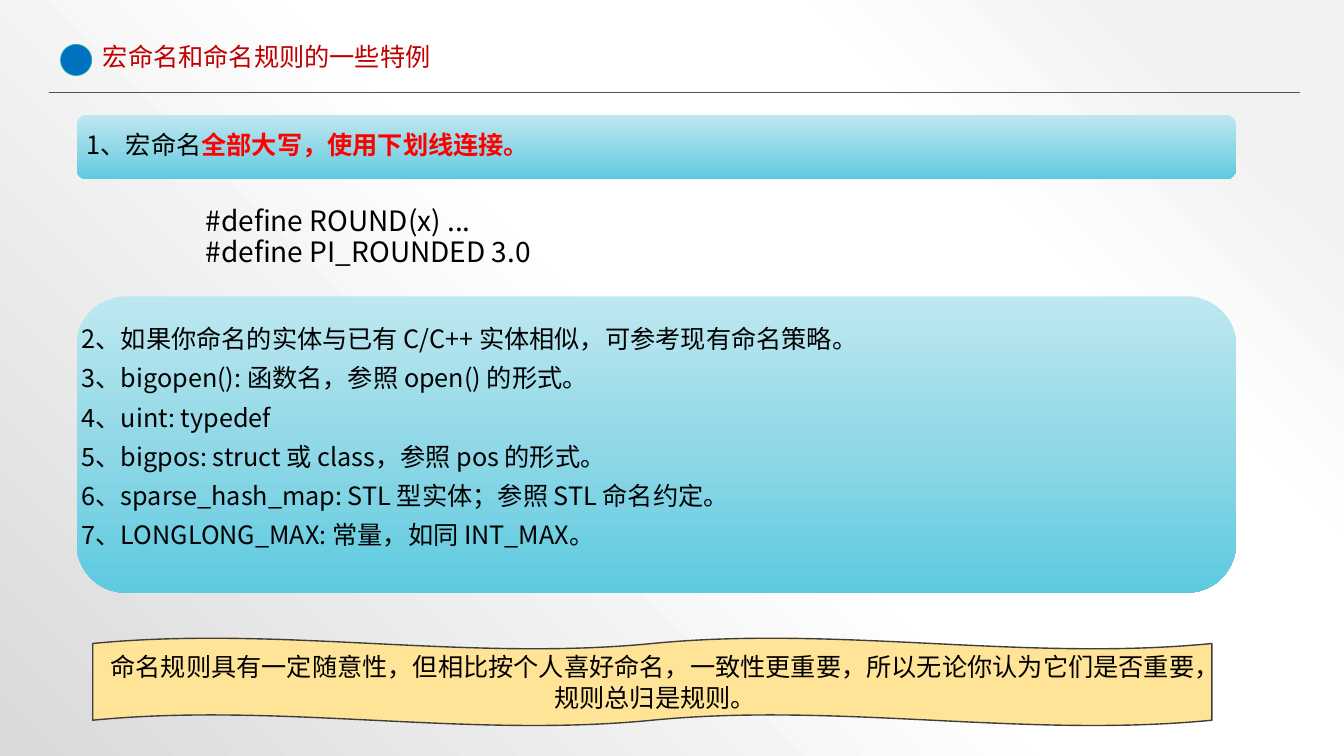
from lxml import etree
from pptx import Presentation
from pptx.dml.color import RGBColor
from pptx.enum.shapes import MSO_CONNECTOR, MSO_SHAPE
from pptx.enum.text import MSO_ANCHOR, MSO_AUTO_SIZE, PP_ALIGN
from pptx.oxml.ns import qn
from pptx.util import Inches, Pt

LINE = MSO_CONNECTOR.STRAIGHT
OVAL, ROUND, WAVE = MSO_SHAPE.OVAL, MSO_SHAPE.ROUNDED_RECTANGLE, MSO_SHAPE.DOUBLE_WAVE
TOP, MIDDLE, BOTTOM = MSO_ANCHOR.TOP, MSO_ANCHOR.MIDDLE, MSO_ANCHOR.BOTTOM
LEFT, CENTER = PP_ALIGN.LEFT, PP_ALIGN.CENTER
NO_FIT = MSO_AUTO_SIZE.NONE

FONT = "Noto Sans CJK SC"
COLORS = {
    "title": "C00000", "text": "000000", "key": "FF0000", "rule": "545454",
    "dot": "0070C0", "ring": "1AB39F", "wave": "FFE497", "edge": "3E3E3E",
}
PANEL = [(0, "BEE8F0"), (50, "91D8E7"), (100, "5CCADF")]
PAGE = [(10, "F2F2F2"), (28, "FFFFFF"), (48, "FFFFFF"), (100, "D9D9D9")]

MACROS = ["#define ROUND(x) ...", "#define PI_ROUNDED 3.0"]
RULES = [
    "2、如果你命名的实体与已有 C/C++ 实体相似，可参考现有命名策略。",
    "3、bigopen(): 函数名，参照 open() 的形式。",
    "4、uint: typedef",
    "5、bigpos: struct 或 class，参照 pos 的形式。",
    "6、sparse_hash_map: STL 型实体；参照 STL 命名约定。",
    "7、LONGLONG_MAX: 常量，如同 INT_MAX。",
]
CLOSING = "命名规则具有一定随意性，但相比按个人喜好命名，一致性更重要，所以无论你认为它们是否重要， 规则总归是规则。"


def color(name):
    return RGBColor.from_string(COLORS[name])


def place(shape, box):
    shape.left, shape.top, shape.width, shape.height = map(Inches, box)


def shade(fill, root, stops, radial=False):
    """Fill with the stops, downwards or outwards from the top right corner."""
    fill.gradient()
    grad = next(root.iter(qn("a:gradFill")))
    for child in list(grad):
        grad.remove(child)
    group = etree.SubElement(grad, qn("a:gsLst"))
    for pos, tone in stops:
        stop = etree.SubElement(group, qn("a:gs"), pos=str(pos * 1000))
        etree.SubElement(stop, qn("a:srgbClr"), val=tone)
    if radial:
        way = etree.SubElement(grad, qn("a:path"), path="circle")
        etree.SubElement(way, qn("a:fillToRect"), l="100000", b="100000")
    else:
        etree.SubElement(grad, qn("a:lin"), ang="5400000", scaled="0")


def style(run, size, tone, bold=False):
    font = run.font
    font.name, font.size, font.bold = FONT, Pt(size), bold
    font.color.rgb = color(tone)
    latin = run._r.rPr.find(qn("a:latin"))
    latin.addnext(etree.Element(qn("a:ea"), typeface=FONT))


def write(shape, lines, size=18, tone="text", anchor=TOP, align=LEFT,
          space=0.9, inset=None):
    frame = shape.text_frame
    frame.text = "\n".join(lines)
    frame.word_wrap, frame.auto_size = True, NO_FIT
    frame.vertical_anchor = anchor
    if inset is not None:
        frame.margin_left = frame.margin_right = Inches(inset)
        frame.margin_top = frame.margin_bottom = Inches(inset)
    for para in frame.paragraphs:
        para.alignment, para.line_spacing = align, space
        para.space_before = para.space_after = Pt(0)
        for run in para.runs:
            style(run, size, tone)


def unbullet(shape):
    for para in shape.text_frame.paragraphs:
        props = para._p.get_or_add_pPr()
        props.set("marL", "0")
        props.set("indent", "0")
        etree.SubElement(props, qn("a:buNone"))


def add_form(slide, kind, box, fill=None, line=None, width=1):
    """Add a preset shape; without a fill colour it gets the panel shading."""
    form = slide.shapes.add_shape(kind, *map(Inches, box))
    form.shadow.inherit = False
    if fill:
        form.fill.solid()
        form.fill.fore_color.rgb = color(fill)
    else:
        shade(form.fill, form._element.spPr, PANEL)
    if line:
        form.line.color.rgb = color(line)
        form.line.width = Pt(width)
    else:
        form.line.fill.background()
    return form


def add_text(slide, box, lines, **look):
    text = slide.shapes.add_textbox(*map(Inches, box))
    write(text, lines, **look)
    return text


def add_rule(slide, x1, x2, y):
    rule = slide.shapes.add_connector(LINE, *map(Inches, (x1, y, x2, y)))
    rule.line.color.rgb = color("rule")
    rule.line.width = Pt(1)
    etree.SubElement(rule._element.spPr, qn("a:effectLst"))


def main():
    deck = Presentation()
    deck.slide_width, deck.slide_height = Inches(13.33), Inches(7.5)
    slide = deck.slides.add_slide(deck.slide_layouts[1])
    shade(slide.background.fill, slide._element, PAGE, radial=True)

    title, body = slide.placeholders
    place(title, (0.92, 0.29, 3.78, 0.47))
    write(title, ["宏命名和命名规则的一些特例"], tone="title", anchor=BOTTOM)
    add_rule(slide, 0.49, 12.89, 0.92)
    add_form(slide, OVAL, (0.6, 0.44, 0.31, 0.31), "dot", "ring", 0.5)

    add_form(slide, ROUND, (0.76, 1.14, 11.5, 0.64))
    naming = add_text(slide, (0.79, 1.17, 11.44, 0.57), ["1、宏命名"],
                      anchor=MIDDLE, inset=0.07)
    key = naming.text_frame.paragraphs[0].add_run()
    key.text = "全部大写，使用下划线连接。"
    style(key, 18, "key", bold=True)
    add_text(slide, (1.94, 2.01, 4.09, 0.71), MACROS, size=20)

    panel = add_form(slide, ROUND, (0.76, 2.94, 11.5, 2.94))
    place(body, (0.74, 3.12, 11.44, 2.65))
    write(body, RULES, space=Pt(28), inset=0.07)
    body.text_frame.margin_top = 0
    unbullet(body)
    panel._element.addnext(body._element)

    wave = add_form(slide, WAVE, (0.92, 6.33, 11.1, 0.87), "wave", "edge")
    write(wave, [CLOSING], anchor=MIDDLE, align=CENTER, space=1.0)
    deck.save("out.pptx")


if __name__ == "__main__":
    main()
